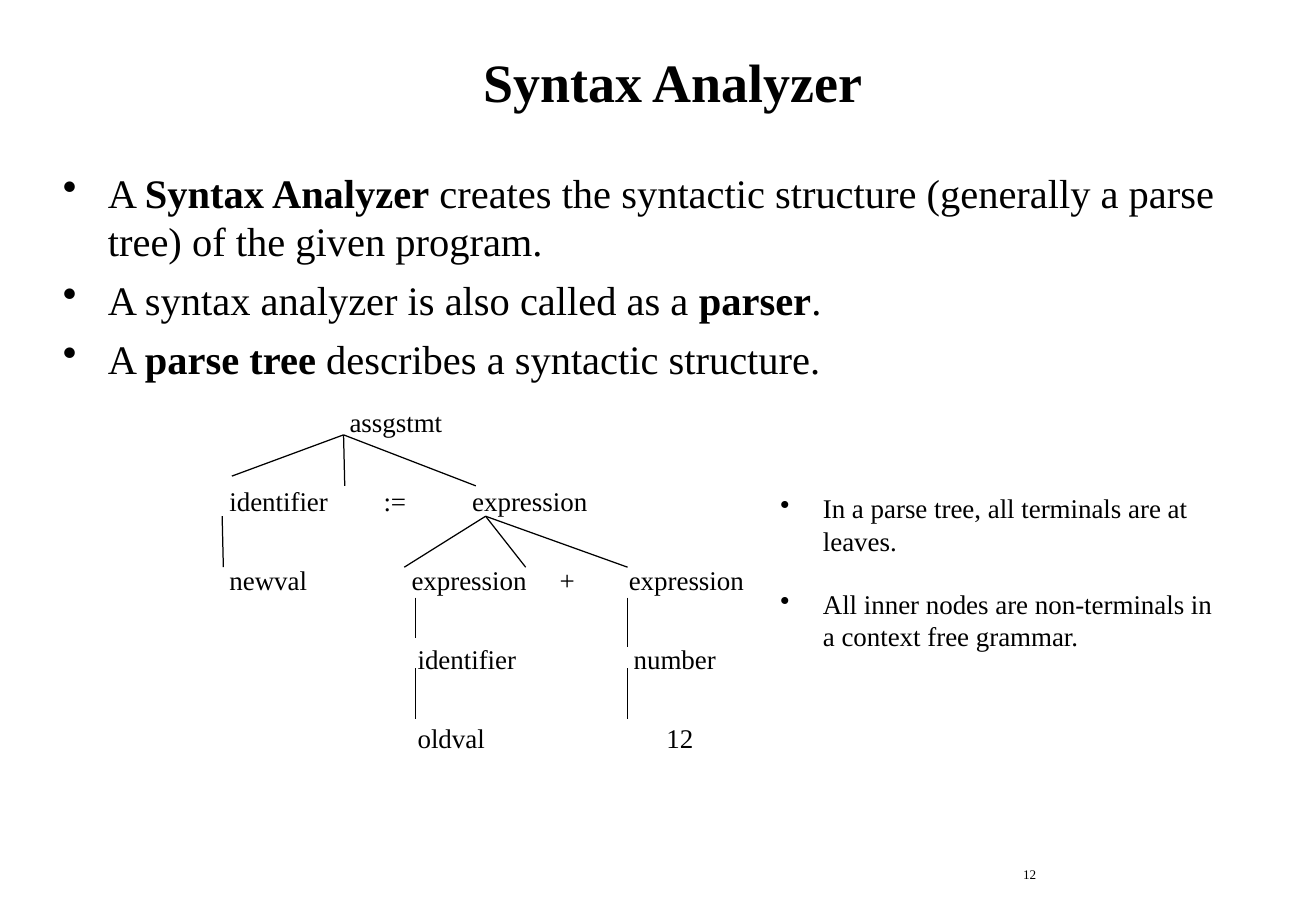
import pptx
import pptx.util
import pptx.dml.color
import pptx.enum.shapes
import pptx.enum.text
from lxml import etree

Inches = pptx.util.Inches
Pt = pptx.util.Pt
BLACK = pptx.dml.color.RGBColor(0, 0, 0)
FONT = "Times New Roman"
CENTER = pptx.enum.text.PP_ALIGN.CENTER
MIDDLE = pptx.enum.text.MSO_ANCHOR.MIDDLE

prs = pptx.Presentation()
prs.slide_width, prs.slide_height = Inches(10.84), Inches(7.5)
s = prs.slides.add_slide(prs.slide_layouts[6])


def add_text(left, top, width, height, paragraphs, size, inset=(0.1, 0.05), hang=0, gap=0):
    """Each paragraph is a list of (text, bold) runs; hang > 0 gives bullets."""
    tf = s.shapes.add_textbox(Inches(left), Inches(top), Inches(width), Inches(height)).text_frame
    tf.word_wrap = True
    tf.margin_left = tf.margin_right = Inches(inset[0])
    tf.margin_top = tf.margin_bottom = Inches(inset[1])
    for i, runs in enumerate(paragraphs):
        p = tf.paragraphs[0] if i == 0 else tf.add_paragraph()
        p.space_before = Pt(gap)
        if hang:
            pPr = p._p.get_or_add_pPr()
            pPr.set("marL", str(Inches(hang)))
            pPr.set("indent", str(-Inches(hang)))
            etree.SubElement(pPr, pptx.oxml.ns.qn("a:buChar")).set("char", "•")
        for text, bold in runs:
            r = p.add_run()
            r.text = text
            for name, value in {"name": FONT, "size": Pt(size), "bold": bold}.items():
                setattr(r.font, name, value)
            r.font.color.rgb = BLACK
    return tf


# Title
title = add_text(0.42, 0.17, 10.25, 1, [[("Syntax Analyzer", True)]], 32)
title.vertical_anchor = MIDDLE
title.paragraphs[0].alignment = CENTER

# Main bullets
add_text(0.42, 1.33, 10.25, 1.95, [
    [("A ", False), ("Syntax Analyzer", True),
     (" creates the syntactic structure (generally a parse tree) of the given program.", False)],
    [("A syntax analyzer is also called as a ", False), ("parser", True), (".", False)],
    [("A ", False), ("parse tree", True), (" describes a syntactic structure.", False)],
], 24, hang=0.37, gap=6)

# Parse tree nodes, one list of (left, label) per level
TREE_TOP, LEVEL_STEP = 3.34, 0.65
levels = [
    [(2.88, "assgstmt")],
    [(1.89, "identifier"), (3.16, ":="), (3.89, "expression")],
    [(1.89, "newval"), (3.39, "expression"), (4.61, "+"), (5.18, "expression")],
    [(3.44, "identifier"), (5.22, "number")],
    [(3.44, "oldval"), (5.49, "12")],
]
for level, nodes in enumerate(levels):
    for left, label in nodes:
        add_text(left, TREE_TOP + level * LEVEL_STEP, 0.1 + 0.1 * len(label), 0.26,
                 [[(label, False)]], 16, inset=(0, 0))

# Parse tree branches: parent point and the ends of its children
branches = [
    ((2.83, 3.58), [(1.91, 3.92), (2.84, 4), (3.92, 4)]),
    ((1.83, 4.25), [(1.84, 4.67)]),
    ((4, 4.25), [(3.33, 4.67), (4.33, 4.67), (5.17, 4.67)]),
    ((3.42, 4.92), [(3.42, 5.25)]),
    ((3.42, 5.5), [(3.42, 5.92)]),
    ((5.17, 4.92), [(5.17, 5.33)]),
    ((5.17, 5.5), [(5.17, 5.92)]),
]
for parent, children in branches:
    for child in children:
        branch = s.shapes.add_connector(pptx.enum.shapes.MSO_CONNECTOR.STRAIGHT,
                                        *[Inches(v) for v in parent + child])
        branch.line.color.rgb = BLACK
        branch.line.width = Pt(0.75)
        etree.SubElement(branch._element.spPr, pptx.oxml.ns.qn("a:effectLst"))

# Side notes
add_text(6.33, 4, 3.82, 1.5, [
    [("In a parse tree, all terminals are at leaves.", False)],
    [("All inner nodes are non-terminals in a context free grammar.", False)],
], 16, hang=0.35, gap=18.4).paragraphs[0].space_before = Pt(0)

# Slide number
add_text(8.33, 7.08, 2.26, 0.25, [[("12", False)]], 7.8)

prs.save("out.pptx")
